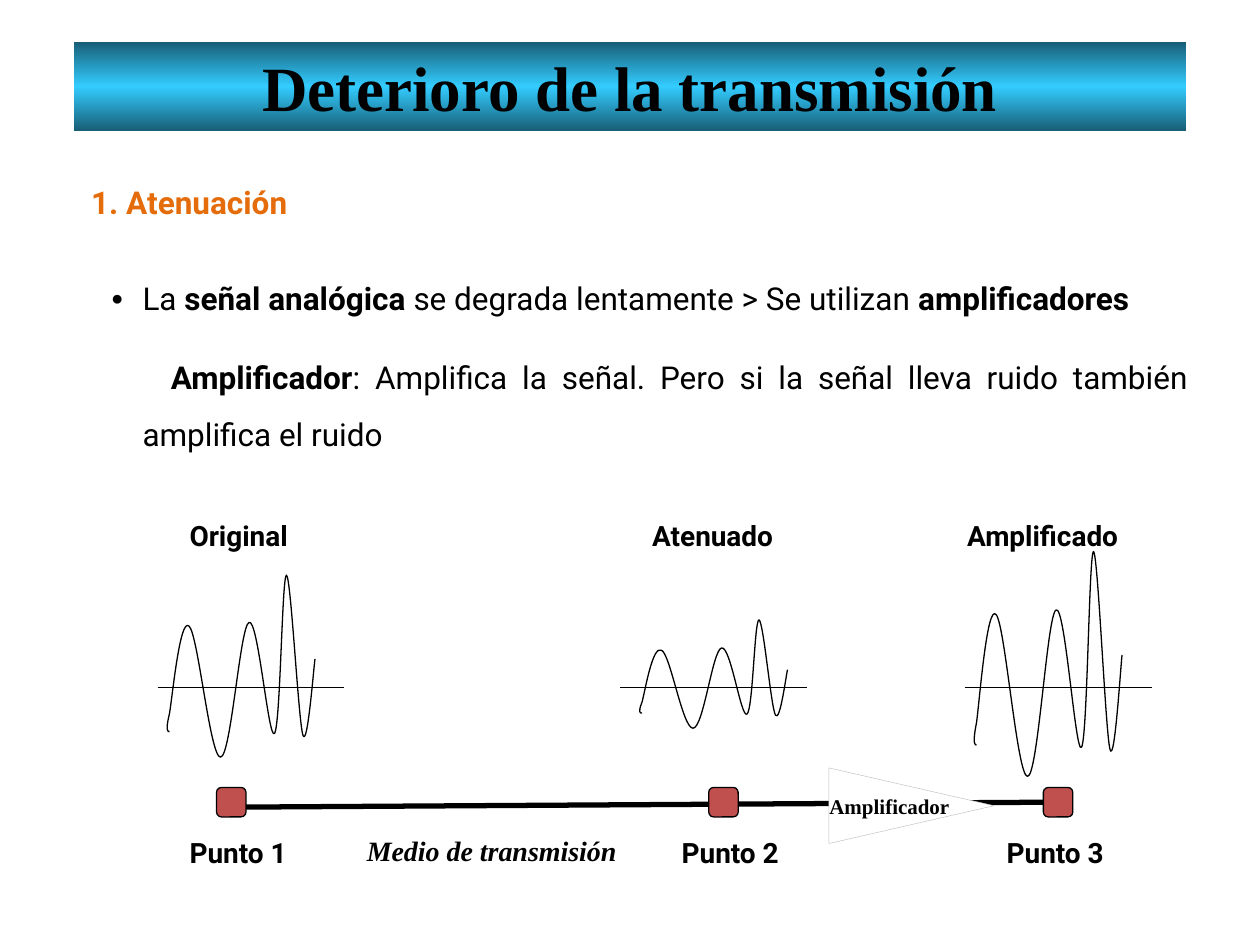
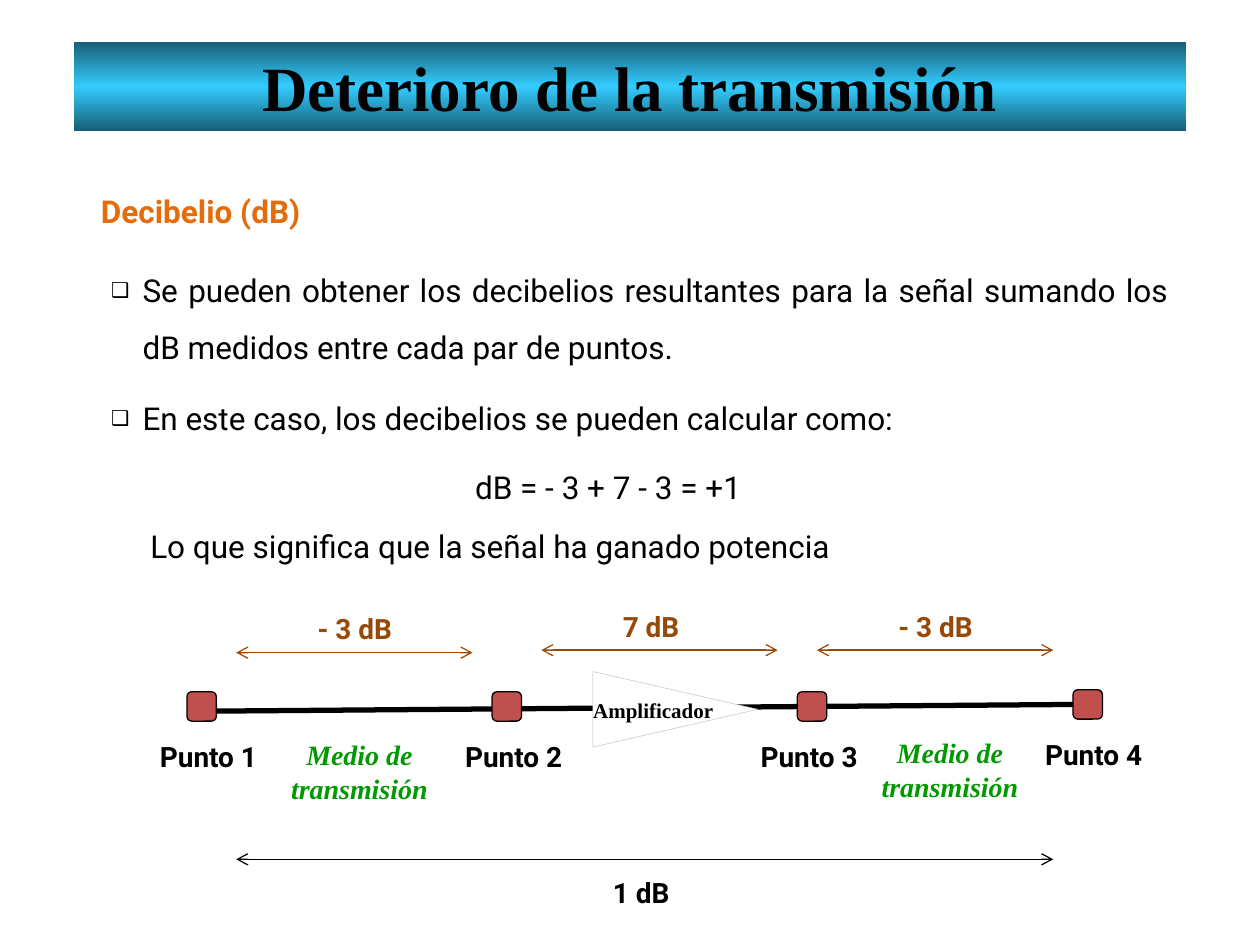
from copy import deepcopy
from dataclasses import dataclass, replace
from typing import NamedTuple

from lxml.etree import SubElement
from pptx import Presentation
from pptx.dml.color import RGBColor
from pptx.enum.shapes import MSO_CONNECTOR, MSO_SHAPE
from pptx.enum.text import MSO_ANCHOR, MSO_AUTO_SIZE, PP_ALIGN
from pptx.oxml.ns import qn
from pptx.util import Inches, Pt

# Positions are columns and rows of a 100 x 75 grid over the slide.
WIDTH, HEIGHT = Inches(10), Inches(7.5)
COL, ROW = WIDTH / 100, HEIGHT / 75

COLORS = {
    "ink": "000000", "paper": "FFFFFF", "band_edge": "185E76",
    "band_middle": "33CCFF", "heading": "E46C0A", "node": "C0504D",
    "measure": "984807", "medium": "009900", "hairline": "BFBFBF",
}
TITLE_AND_BODY = 1
NODE_SIZE = 2.34
AXIS_ROW, AXIS_WIDTH, WAVE_WIDTH = 54.55, 14.84, 11.9

# Signal curve as shares of its frame: a start, then cubic segments.
WAVE_START = (0.03, 0.86)
WAVE_SEGMENTS = [
    ((0.02, 0.86), (0, 0.86), (0.03, 0.76)),
    ((0.05, 0.66), (0.10, 0.23), (0.16, 0.28)),
    ((0.22, 0.32), (0.30, 1), (0.37, 1)),
    ((0.44, 1), (0.50, 0.28), (0.56, 0.26)),
    ((0.62, 0.23), (0.69, 0.91), (0.73, 0.87)),
    ((0.77, 0.83), (0.78, 0), (0.81, 0)),
    ((0.84, 0.01), (0.89, 0.81), (0.92, 0.88)),
    ((0.95, 0.95), (0.99, 0.52), (1, 0.46)),
]


@dataclass(frozen=True)
class Style:
    size: float
    font: str = "Roboto"
    color: str = "ink"
    bold: bool = False
    italic: bool = False
    align: PP_ALIGN = PP_ALIGN.LEFT
    line_spacing: float = 1.0


TITLE = Style(36, "Times New Roman", bold=True, align=PP_ALIGN.CENTER)
BODY = Style(18, align=PP_ALIGN.JUSTIFY, line_spacing=1.5)
HEADING = replace(BODY, color="heading", bold=True)
LABEL = Style(16, bold=True)
MEDIUM = Style(16, "Times New Roman", bold=True, italic=True)
GREEN_MEDIUM = replace(MEDIUM, color="medium", align=PP_ALIGN.CENTER)
AMPLIFIER = Style(12, "Times New Roman", bold=True)


class Box(NamedTuple):
    left: float
    top: float
    width: float
    height: float


class Item(NamedTuple):
    """A body paragraph; words between asterisks are bold."""
    text: str
    bullet: str = ""
    first_indent: float = -2.5
    space_before: float = 0


class Node(NamedTuple):
    name: str
    left: float
    top: float
    label_shift: float = -3.13


class Signal(NamedTuple):
    name: str
    axis_left: float
    wave_left: float
    wave_top: float
    wave_height: float
    label_left: float
    label_width: float


class Measure(NamedTuple):
    text: str
    left: float
    right: float
    row: float
    label_left: float
    label_top: float
    color: str = "measure"


def rgb(name: str) -> RGBColor:
    return RGBColor.from_string(COLORS[name])


def frame(box: Box) -> tuple:
    return (round(box.left * COL), round(box.top * ROW),
            round(box.width * COL), round(box.height * ROW))


def add_run(paragraph, text: str, style: Style) -> None:
    run = paragraph.add_run()
    run.text = text
    font = run.font
    font.size, font.name = Pt(style.size), style.font
    font.bold, font.italic = style.bold, style.italic
    font.color.rgb = rgb(style.color)


def format_paragraph(paragraph, style: Style, space_before: float = 0) -> None:
    paragraph.alignment = style.align
    paragraph.line_spacing = style.line_spacing
    paragraph.space_before = Pt(space_before)


def add_text(slide, text: str, box: Box, style: Style) -> None:
    text_frame = slide.shapes.add_textbox(*frame(box)).text_frame
    text_frame.word_wrap = True
    paragraph = text_frame.paragraphs[0]
    format_paragraph(paragraph, style)
    add_run(paragraph, text, style)


def place(placeholder, box: Box):
    """Move a placeholder and return its text frame, anchored at the top."""
    placeholder.left, placeholder.top, placeholder.width, placeholder.height = frame(box)
    text_frame = placeholder.text_frame
    text_frame.auto_size = MSO_AUTO_SIZE.NONE
    text_frame.vertical_anchor = MSO_ANCHOR.TOP
    text_frame.word_wrap = True
    return text_frame


def set_bullet(paragraph, item: Item) -> None:
    properties = paragraph._p.get_or_add_pPr()
    properties.set("marL", str(round(2.5 * COL)))
    properties.set("indent", str(round(item.first_indent * COL)))
    if not item.bullet:
        SubElement(properties, qn("a:buNone"))
        return
    color = SubElement(properties, qn("a:buClr"))
    SubElement(color, qn("a:srgbClr"), val=COLORS["ink"])
    SubElement(properties, qn("a:buSzPct"), val="65000")
    SubElement(properties, qn("a:buChar"), char=item.bullet)


def fill_title(slide) -> None:
    title = slide.shapes.title
    text_frame = place(title, Box(5.85, 3.33, 88.28, 7.06))
    fill = title.fill
    fill.gradient()
    fill.gradient_angle = 90
    stop_list = title.element.spPr.find(".//" + qn("a:gsLst"))
    stop_list.insert(1, deepcopy(stop_list[0]))
    for stop, share, color in zip(fill.gradient_stops, (0, 0.5, 1),
                                  ("band_edge", "band_middle", "band_edge")):
        stop.position = share
        stop.color.rgb = rgb(color)
    paragraph = text_frame.paragraphs[0]
    format_paragraph(paragraph, TITLE)
    add_run(paragraph, "Deterioro de la transmisión", TITLE)


def fill_body(slide, box: Box, items: list[Item]) -> None:
    text_frame = place(slide.placeholders[1], box)
    for index, item in enumerate(items):
        paragraph = text_frame.add_paragraph() if index else text_frame.paragraphs[0]
        set_bullet(paragraph, item)
        format_paragraph(paragraph, BODY, item.space_before)
        for part, words in enumerate(item.text.split("*")):
            if words:
                add_run(paragraph, words, replace(BODY, bold=part % 2 == 1))


def add_line(slide, start: tuple, end: tuple, width: float = 0.75,
             color: str = "ink", arrows: bool = False):
    line = slide.shapes.add_connector(
        MSO_CONNECTOR.STRAIGHT, round(start[0] * COL), round(start[1] * ROW),
        round(end[0] * COL), round(end[1] * ROW))
    line.line.width = Pt(width)
    line.line.color.rgb = rgb(color)
    properties = line.element.spPr
    if arrows:
        for tag in ("a:headEnd", "a:tailEnd"):
            SubElement(properties.find(qn("a:ln")), qn(tag), type="arrow")
    SubElement(properties, qn("a:effectLst"))
    return line


def paint(shape, fill: str, line: str = "ink", width: float = 0.75) -> None:
    shape.shadow.inherit = False
    shape.fill.solid()
    shape.fill.fore_color.rgb = rgb(fill)
    shape.line.color.rgb = rgb(line)
    shape.line.width = Pt(width)


def draw_channel(slide, start: tuple, nodes: list[Node]) -> None:
    """Draw the thick line under its nodes and join it to the last one."""
    last = nodes[-1]
    channel = add_line(slide, start, (last.left, last.top + NODE_SIZE / 2), 3)
    for node in nodes:
        square = slide.shapes.add_shape(MSO_SHAPE.ROUNDED_RECTANGLE, *frame(
            Box(node.left, node.top, NODE_SIZE, NODE_SIZE)))
        paint(square, "node")
        add_text(slide, node.name, Box(node.left + node.label_shift, node.top + 3.3,
                                       10.9, 3.7), LABEL)
    channel.end_connect(square, 1)


def draw_amplifier(slide, left: float, top: float) -> None:
    triangle = slide.shapes.add_shape(MSO_SHAPE.ISOSCELES_TRIANGLE, *frame(
        Box(left + 4.5, top - 5.1, 6, 13.1)))
    triangle.rotation = 90
    paint(triangle, "paper", "hairline", 0.25)
    add_text(slide, "Amplificador", Box(left, top, 11.9, 3), AMPLIFIER)


def bend(curve) -> None:
    """Turn every three straight segments into one cubic segment."""
    outline = curve.element.find(".//" + qn("a:path"))
    corners = outline.findall(qn("a:lnTo"))
    for first in range(0, len(corners), 3):
        cubic = SubElement(outline, qn("a:cubicBezTo"))
        for corner in corners[first:first + 3]:
            cubic.append(corner[0])
            outline.remove(corner)


def draw_signal(slide, signal: Signal) -> None:
    shares = [WAVE_START, *(point for segment in WAVE_SEGMENTS for point in segment)]
    points = [((signal.wave_left + x * WAVE_WIDTH) * COL,
               (signal.wave_top + y * signal.wave_height) * ROW)
              for x, y in shares]
    builder = slide.shapes.build_freeform(*points[0])
    builder.add_line_segments(points[1:], close=False)
    curve = builder.convert_to_shape()
    bend(curve)
    paint(curve, "paper")
    add_line(slide, (signal.axis_left, AXIS_ROW),
             (signal.axis_left + AXIS_WIDTH, AXIS_ROW))
    add_text(slide, signal.name,
             Box(signal.label_left, 40.65, signal.label_width, 3.7), LABEL)


def draw_measure(slide, measure: Measure) -> None:
    add_line(slide, (measure.left, measure.row), (measure.right, measure.row),
             color=measure.color, arrows=True)
    add_text(slide, measure.text, Box(measure.label_left, measure.label_top, 10.2, 3.7),
             replace(LABEL, color=measure.color))


def start_slide(deck, heading: str, heading_box: Box):
    slide = deck.slides.add_slide(deck.slide_layouts[TITLE_AND_BODY])
    fill_title(slide)
    add_text(slide, heading, heading_box, HEADING)
    return slide


def build_attenuation(deck) -> None:
    slide = start_slide(deck, "1. Atenuación", Box(6.25, 12.5, 18.8, 5))
    fill_body(slide, Box(7.81, 20.16, 87.5, 15.8), [
        Item("La *señal analógica *se degrada lentamente > Se utilizan *amplificadores*", "●"),
        Item("*Amplificador*: Amplifica la señal. Pero si la señal lleva ruido "
             "también amplifica el ruido", first_indent=2.25, space_before=12.5)])
    for signal in (Signal("Original", 12.5, 13.1, 45.65, 14.45, 14.06, 10.9),
                   Signal("Atenuado", 49.22, 50.6, 49.2, 8.6, 50.78, 13.3),
                   Signal("Amplificado", 76.56, 77.15, 43.78, 17.85, 75.78, 16.4)):
        draw_signal(slide, signal)
    draw_channel(slide, (18.75, 64.06), [
        Node("Punto 1", 17.19, 62.5), Node("Punto 2", 56.25, 62.5),
        Node("Punto 3", 82.81, 62.5, -3.9)])
    add_text(slide, "Medio de transmisión", Box(28.13, 65.65, 27.3, 3.7), MEDIUM)
    draw_amplifier(slide, 64.84, 62.5)


def build_decibel(deck) -> None:
    slide = start_slide(deck, "Decibelio (dB)", Box(7.03, 13.25, 22.7, 5))
    fill_body(slide, Box(7.81, 19.53, 85.94, 15.8), [
        Item("Se pueden obtener los decibelios resultantes para la señal sumando "
             "los dB medidos entre cada par de puntos.", "❑"),
        Item("En este caso, los decibelios se pueden calcular como:", "❑",
             space_before=8.4)])
    add_text(slide, "dB = - 3 + 7 - 3 = +1", Box(36.72, 35.16, 25.7, 5.6), BODY)
    add_text(slide, "Lo que significa que la señal ha ganado potencia",
             Box(10.94, 39.84, 57.8, 5.6), BODY)
    draw_channel(slide, (15.63, 56.45), [
        Node("Punto 1", 14.84, 54.9), Node("Punto 2", 39.06, 54.9),
        Node("Punto 3", 63.28, 54.9, -3.9), Node("Punto 4", 85.16, 54.74, -3.2)])
    draw_amplifier(slide, 46.1, 54.85)
    for left, top in ((21.88, 58.04), (68.75, 57.88)):
        add_text(slide, "Medio de transmisión", Box(left, top, 13.28, 6.4), GREEN_MEDIUM)
    for measure in (Measure("- 3 dB", 18.75, 37.5, 51.8, 24.22, 48.05),
                    Measure("7 dB", 42.97, 61.72, 51.6, 48.44, 47.9),
                    Measure("- 3 dB", 64.84, 83.59, 51.6, 70.31, 47.9),
                    Measure("1 dB", 18.75, 83.59, 68.2, 47.66, 69, "ink")):
        draw_measure(slide, measure)


def main() -> None:
    deck = Presentation()
    deck.slide_width, deck.slide_height = WIDTH, HEIGHT
    build_attenuation(deck)
    build_decibel(deck)
    deck.save("out.pptx")


if __name__ == "__main__":
    main()
